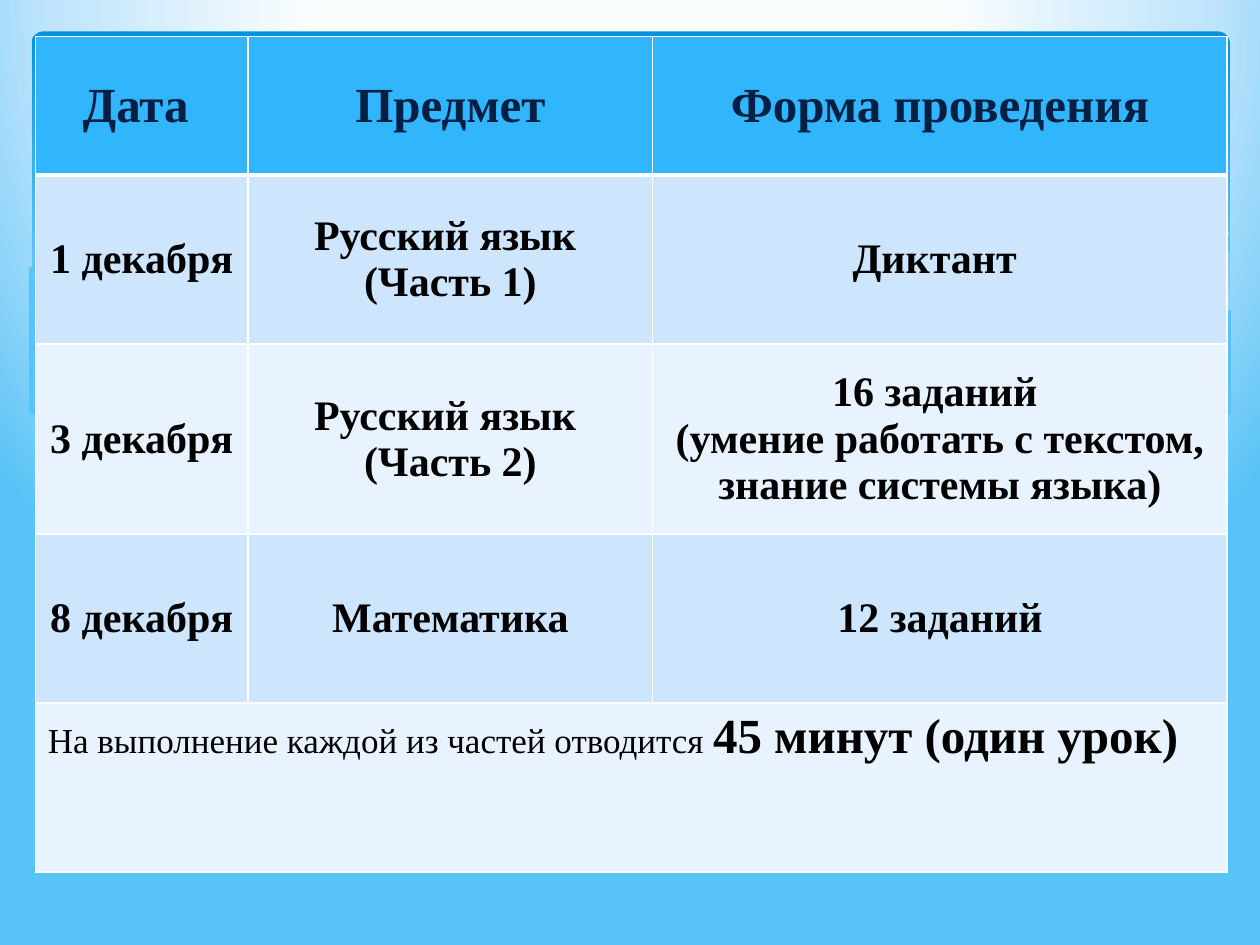
import pptx
import pptx.util
import pptx.dml.color
import pptx.enum.shapes
import pptx.enum.text
import pptx.oxml
import pptx.oxml.ns
from pptx.util import Inches, Pt

FONT = "Times New Roman"
COLORS = {
    "white": "FFFFFF", "black": "000000", "navy": "041F44",
    "header": "31B6FD", "band": "CEE5FE", "light": "E8F3FF", "wave": "C6E7FC",
}
SKY_STOPS = [(40, "FAFDFE"), (74, "BEE4FC"), (100, "58C3F6")]
SKY_SHADE = '<a:path path="circle"><a:fillToRect l="20000" t="-40000" r="20000" b="140000"/></a:path>'
PANEL_STOPS = [(0, "0293E0"), (90, "83D3FE")]
PANEL_SHADE = '<a:lin ang="5400000" scaled="0"/>'

# Table content: each cell is a list of paragraphs
HEADER = [["Дата "], ["Предмет"], ["Форма проведения"]]
EXAMS = [
    [["1 декабря"], ["Русский язык ", "(Часть 1)"], ["Диктант "]],
    [["3 декабря"], ["Русский язык ", "(Часть 2)"],
     ["16 заданий ", "(умение работать с текстом, знание системы языка)"]],
    [["8 декабря"], ["Математика"], ["12 заданий"]],
]
FOOTNOTE = [("На выполнение каждой из частей отводится ", 20, False),
            ("45 минут (один урок)", 28, True)]
COLUMN_WIDTHS = [1.69, 3.21, 4.56]
ROW_HEIGHTS = [1.1, 1.34, 1.51, 1.34, 1.34]

# Decorative waves: translucent ribbons as (opacity, points), then open strokes
RIBBONS = [
    (29, [(9.75, 2), (9.35, 2.07), (8.61, 2.23), (7.79, 2.42), (6.61, 2.65), (7.05, 2.71),
          (7.57, 2.76), (8.14, 2.78), (8.72, 2.74), (9.28, 2.63), (9.76, 2.47), (9.76, 2)]),
    (40, [(8.93, 2.73), (8.37, 2.65), (7.41, 2.47), (6.29, 2.22), (5.41, 2.03), (4.65, 1.91),
          (3.99, 1.86), (3.44, 1.86), (2.86, 1.91), (3.62, 2.03), (4.49, 2.22), (5.66, 2.48),
          (6.5, 2.64), (7.22, 2.74), (7.96, 2.78), (8.48, 2.77)]),
]
STROKES = [
    [(3.09, 1.95), (3.53, 1.89), (4.16, 1.87), (4.89, 1.9), (5.56, 1.97), (6.36, 2.08),
     (7.27, 2.26), (8.31, 2.51), (9.07, 2.72)],
    [(6.13, 2.57), (6.95, 2.35), (7.76, 2.16), (8.66, 1.99), (9.24, 1.9), (9.75, 1.85)],
]
FOREGROUND_WAVE = [
    (9.77, 2.46), (9.4, 2.59), (8.99, 2.69), (8.5, 2.75), (8.09, 2.77), (7.44, 2.74),
    (6.68, 2.65), (5.79, 2.5), (4.47, 2.2), (3.4, 1.97), (2.71, 1.88), (2.11, 1.84),
    (1.61, 1.84), (1.06, 1.89), (0.67, 1.97), (0.4, 2.05), (0.23, 2.13), (0.23, 3.29), (9.77, 3.29),
]


def rgb(name):
    return pptx.dml.color.RGBColor.from_string(COLORS[name])


def set_gradient(properties, stops, shade):
    """Replace the solid fill in the given properties with a gradient."""
    stop_xml = "".join(f'<a:gs pos="{position * 1000}"><a:srgbClr val="{color}"/></a:gs>'
                       for position, color in stops)
    gradient = pptx.oxml.parse_xml(
        f'<a:gradFill {pptx.oxml.ns.nsdecls("a")} rotWithShape="1">'
        f"<a:gsLst>{stop_xml}</a:gsLst>{shade}</a:gradFill>")
    solid = properties.find(pptx.oxml.ns.qn("a:solidFill"))
    properties.replace(solid, gradient)


def add_wave(points, closed=True):
    points = [(Inches(x), Inches(y)) for x, y in points]
    builder = slide.shapes.build_freeform(*points[0], scale=1.0)
    builder.add_line_segments(points[1:], close=closed)
    shape = builder.convert_to_shape()
    shape.shadow.inherit = False
    if closed:
        shape.fill.solid()
        shape.fill.fore_color.rgb = rgb("wave")
        shape.line.fill.background()
    else:
        shape.fill.background()
        shape.line.color.rgb = rgb("white")
        shape.line.width = Pt(0)
    return shape


def add_run(paragraph, text, size, color, bold=True):
    run = paragraph.add_run()
    run.text = text
    run.font.name = FONT
    run.font.size = Pt(size)
    run.font.bold = bold
    run.font.color.rgb = rgb(color)


def set_borders(cell, widths):
    properties = cell._tc.get_or_add_tcPr()
    for index, (side, width) in enumerate(widths.items()):
        properties.insert(index, pptx.oxml.parse_xml(
            f'<a:{side} {pptx.oxml.ns.nsdecls("a")} w="{Pt(width)}"><a:solidFill>'
            f'<a:srgbClr val="{COLORS["white"]}"/></a:solidFill></a:{side}>'))


presentation = pptx.Presentation()
presentation.slide_width, presentation.slide_height = Inches(10), Inches(7.5)
slide = presentation.slides.add_slide(presentation.slide_layouts[6])

# Background and top panel
slide.background.fill.solid()
set_gradient(slide.element.find(".//" + pptx.oxml.ns.qn("p:bgPr")), SKY_STOPS, SKY_SHADE)
panel = slide.shapes.add_shape(pptx.enum.shapes.MSO_SHAPE.ROUNDED_RECTANGLE,
                               Inches(0.25), Inches(0.25), Inches(9.51), Inches(2.7))
panel.adjustments[0] = 0.034
panel.shadow.inherit = False
panel.line.fill.background()
panel.fill.solid()
set_gradient(panel.element.spPr, PANEL_STOPS, PANEL_SHADE)

# Waves
for opacity, points in RIBBONS:
    ribbon = add_wave(points)
    color = ribbon.element.spPr.find(".//" + pptx.oxml.ns.qn("a:srgbClr"))
    color.append(pptx.oxml.parse_xml(
        f'<a:alpha {pptx.oxml.ns.nsdecls("a")} val="{opacity * 1000}"/>'))
for points in STROKES:
    add_wave(points, closed=False)
set_gradient(add_wave(FOREGROUND_WAVE).element.spPr, SKY_STOPS, SKY_SHADE)

# Exam table
table = slide.shapes.add_table(len(ROW_HEIGHTS), len(COLUMN_WIDTHS), Inches(0.28), Inches(0.29),
                               Inches(sum(COLUMN_WIDTHS)), Inches(sum(ROW_HEIGHTS))).table
for column, width in zip(table.columns, COLUMN_WIDTHS):
    column.width = Inches(width)
last_row = len(ROW_HEIGHTS) - 1
for row_index, height in enumerate(ROW_HEIGHTS):
    table.rows[row_index].height = Inches(height)
    fill = "header" if row_index == 0 else ("band" if row_index % 2 else "light")
    for cell in table.rows[row_index].cells:
        cell.fill.solid()
        cell.fill.fore_color.rgb = rgb(fill)
        set_borders(cell, {"lnL": 1, "lnR": 1, "lnT": 3 if row_index == 1 else 1,
                           "lnB": 3 if row_index == 0 else 1})

for row_index, row in enumerate([HEADER] + EXAMS):
    size, color = (28, "navy") if row_index == 0 else (24, "black")
    for column_index, lines in enumerate(row):
        cell = table.cell(row_index, column_index)
        cell.vertical_anchor = pptx.enum.text.MSO_ANCHOR.MIDDLE
        for line_index, text in enumerate(lines):
            frame = cell.text_frame
            paragraph = frame.add_paragraph() if line_index else frame.paragraphs[0]
            paragraph.alignment = pptx.enum.text.PP_ALIGN.CENTER
            add_run(paragraph, text, size, color)

# Merged footnote row
footnote = table.cell(last_row, 0)
footnote.merge(table.cell(last_row, len(COLUMN_WIDTHS) - 1))
for text, size, bold in FOOTNOTE:
    add_run(footnote.text_frame.paragraphs[0], text, size, "black", bold)

presentation.save("out.pptx")
